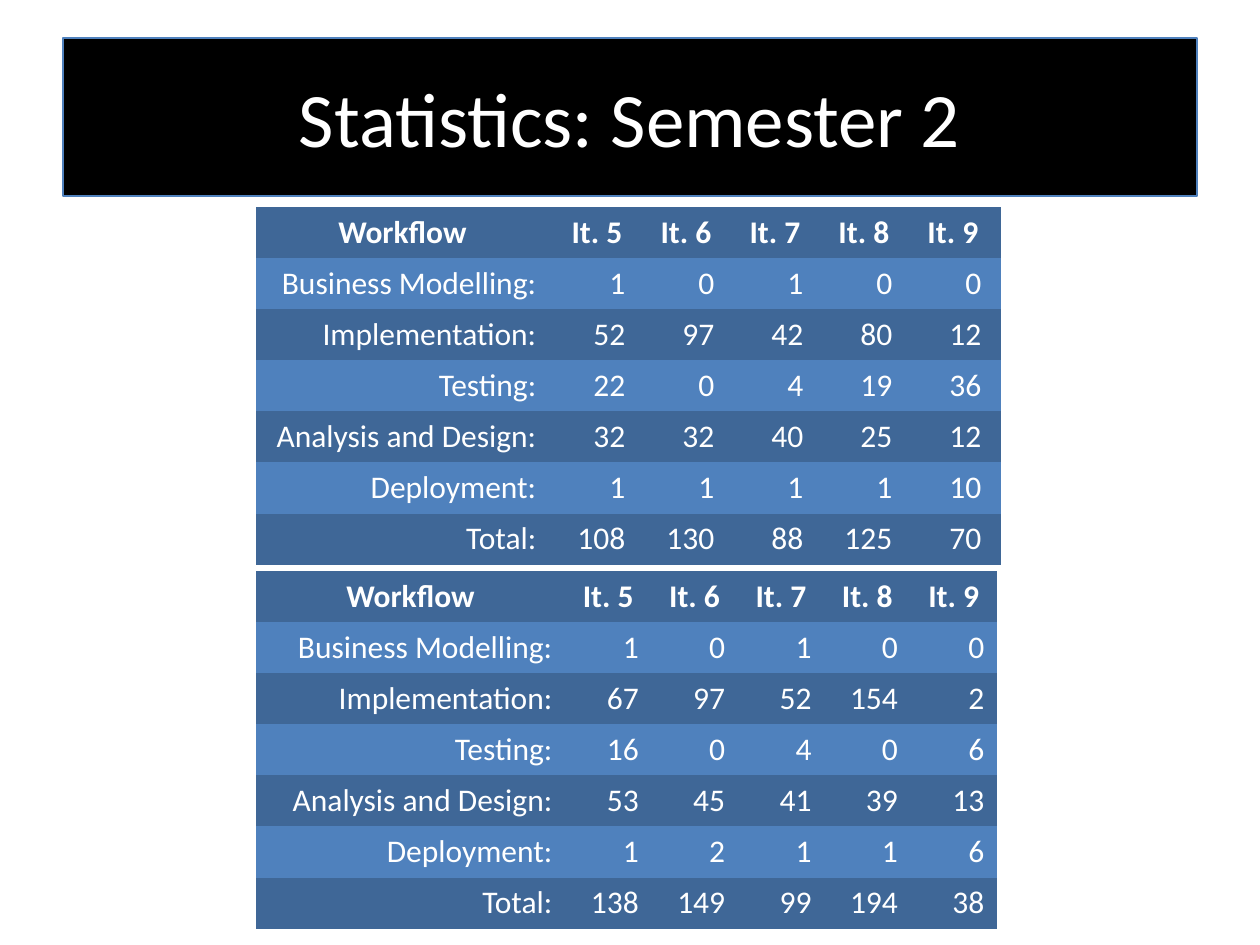
from pptx import Presentation
from pptx.dml.color import RGBColor
from pptx.enum.shapes import MSO_SHAPE
from pptx.enum.text import MSO_ANCHOR, PP_ALIGN
from pptx.util import Emu, Pt

PX_PER_INCH = 126
NO_GRID_STYLE = "{2D5ABB26-0587-4C30-8999-92F81FD0307C}"
BLACK, WHITE, BLUE, DARK_BLUE = "000000", "FFFFFF", "4F81BD", "3F6797"

ITERATIONS = ["It. 5", "It. 6", "It. 7", "It. 8", "It. 9"]
WORKFLOWS = ["Business Modelling:", "Implementation:", "Testing:",
             "Analysis and Design:", "Deployment:", "Total:"]
UPPER_HOURS = [
    [1, 0, 1, 0, 0],
    [52, 97, 42, 80, 12],
    [22, 0, 4, 19, 36],
    [32, 32, 40, 25, 12],
    [1, 1, 1, 1, 10],
    [108, 130, 88, 125, 70],
]
LOWER_HOURS = [
    [1, 0, 1, 0, 0],
    [67, 97, 52, 154, 2],
    [16, 0, 4, 0, 6],
    [53, 45, 41, 39, 13],
    [1, 2, 1, 1, 6],
    [138, 149, 99, 194, 38],
]


def px(length):
    return Emu(round(length * 914400 / PX_PER_INCH))


def color(hex_value):
    return RGBColor.from_string(hex_value)


class StatisticsSlide:
    """Holds the style and the current slide, and draws its elements."""

    font_name = "Calibri"
    row_height = 51

    def __init__(self, slide):
        self.slide = slide

    def fill(self, target, hex_value):
        target.fill.solid()
        target.fill.fore_color.rgb = color(hex_value)

    def text(self, frame, wording, align, size, bold=False):
        paragraph = frame.paragraphs[0]
        paragraph.alignment = align
        run = paragraph.add_run()
        run.text = wording
        font_format = {"name": self.font_name, "size": Pt(size), "bold": bold}
        for attribute, value in font_format.items():
            setattr(run.font, attribute, value)
        run.font.color.rgb = color(WHITE)

    def title(self, wording, left, top, width, height):
        banner = self.slide.shapes.add_shape(
            MSO_SHAPE.RECTANGLE, px(left), px(top), px(width), px(height))
        banner.shadow.inherit = False
        self.fill(banner, BLACK)
        banner.line.color.rgb = color(BLUE)
        banner.line.width = Pt(0.75)
        frame = banner.text_frame
        frame.word_wrap = True
        frame.vertical_anchor = MSO_ANCHOR.MIDDLE
        self.text(frame, wording, PP_ALIGN.CENTER, 44)

    def table(self, hours, left, top, width, label_width, ending=""):
        rows = [["Workflow", *ITERATIONS]]
        rows += [[name, *values] for name, values in zip(WORKFLOWS, hours)]
        graphic = self.slide.shapes.add_table(
            len(rows), len(rows[0]), px(left), px(top),
            px(width), px(self.row_height * len(rows)))
        graphic.element.xpath(".//a:tableStyleId")[0].text = NO_GRID_STYLE
        grid = graphic.table
        hours_width = (width - label_width) / len(ITERATIONS)
        for index, column in enumerate(grid.columns):
            column.width = px(hours_width if index else label_width)
        for row_index, row in enumerate(rows):
            header = row_index == 0
            align = PP_ALIGN.CENTER if header else PP_ALIGN.RIGHT
            for column_index, value in enumerate(row):
                cell = grid.cell(row_index, column_index)
                self.fill(cell, BLUE if row_index % 2 else DARK_BLUE)
                cell.vertical_anchor = MSO_ANCHOR.MIDDLE
                self.text(cell.text_frame, f"{value}{ending}", align, 18, header)


def main():
    deck = Presentation()
    deck.slide_width, deck.slide_height = px(1260), px(945)
    statistics = StatisticsSlide(deck.slides.add_slide(deck.slide_layouts[6]))
    statistics.title("Statistics: Semester 2", 63, 38, 1134, 158)
    statistics.table(UPPER_HOURS, 256, 207, 745, 300, ending=" ")
    statistics.table(LOWER_HOURS, 256, 571, 741, 309)
    deck.save("out.pptx")


if __name__ == "__main__":
    main()
